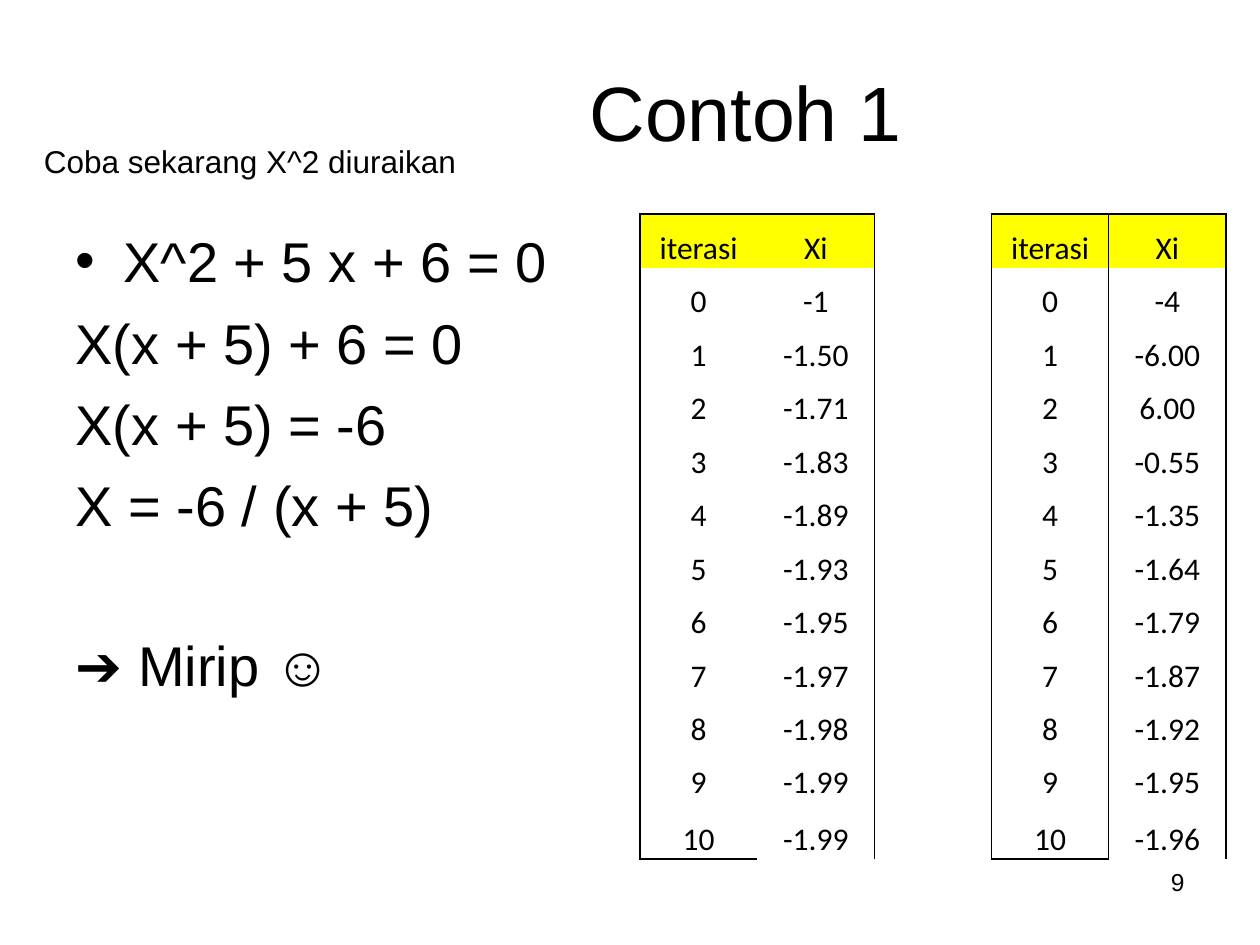
from lxml import etree
from pptx import Presentation
from pptx.dml.color import RGBColor
from pptx.enum.text import MSO_ANCHOR, MSO_AUTO_SIZE, PP_ALIGN
from pptx.oxml.ns import qn
from pptx.util import Inches, Pt

LEFT, CENTER, RIGHT = PP_ALIGN.LEFT, PP_ALIGN.CENTER, PP_ALIGN.RIGHT
TOP, MIDDLE, BOTTOM = MSO_ANCHOR.TOP, MSO_ANCHOR.MIDDLE, MSO_ANCHOR.BOTTOM
NO_AUTOFIT, GROW = MSO_AUTO_SIZE.NONE, MSO_AUTO_SIZE.SHAPE_TO_FIT_TEXT
BLACK, YELLOW = "000000", "FFFF00"
PLAIN_TABLE_STYLE = "{2D5ABB26-0587-4C30-8999-92F81FD0307C}"

EQUATIONS = ["X^2 + 5 x + 6 = 0", "X(x + 5) + 6 = 0", "X(x + 5) = -6",
             "X = -6 / (x + 5)"]
CONCLUSION = "➔ Mirip ☺"
FROM_MINUS_1 = ["-1", "-1.50", "-1.71", "-1.83", "-1.89", "-1.93", "-1.95",
                "-1.97", "-1.98", "-1.99", "-1.99"]
FROM_MINUS_4 = ["-4", "-6.00", "6.00", "-0.55", "-1.35", "-1.64", "-1.79",
                "-1.87", "-1.92", "-1.95", "-1.96"]


def rgb(color):
    return RGBColor.from_string(color)


def place(shape, box):
    shape.left, shape.top, shape.width, shape.height = map(Inches, box)


def write(paragraph, text, size, font="Arial", align=LEFT):
    paragraph.alignment = align
    run = paragraph.add_run()
    run.text = text
    run.font.size = Pt(size)
    run.font.name = font
    run.font.color.rgb = rgb(BLACK)


def set_bullet(paragraph, char=None, indent=0):
    props = paragraph._p.get_or_add_pPr()
    props.set("marL", str(Inches(indent)))
    props.set("indent", str(Inches(-indent)))
    if char:
        etree.SubElement(props, qn("a:buChar")).set("char", char)
    else:
        etree.SubElement(props, qn("a:buNone"))


def add_title(slide, box):
    title = slide.shapes.title
    place(title, box)
    frame = title.text_frame
    frame.auto_size = NO_AUTOFIT
    frame.vertical_anchor = MIDDLE
    write(frame.paragraphs[0], "Contoh 1", 44, align=CENTER)


def add_derivation(slide, box):
    body = slide.placeholders[1]
    place(body, box)
    frame = body.text_frame
    frame.auto_size = NO_AUTOFIT
    frame.vertical_anchor = TOP
    for i, line in enumerate(EQUATIONS + [CONCLUSION]):
        paragraph = frame.add_paragraph() if i else frame.paragraphs[0]
        # The conclusion stands one full line below the equations.
        paragraph.space_before = Pt(53 if line == CONCLUSION else 8)
        if i == 0:
            set_bullet(paragraph, "•", 0.38)
        else:
            set_bullet(paragraph)
        write(paragraph, line, 32)


def add_label(slide, box, text, size, align=LEFT, wrap=True):
    label = slide.shapes.add_textbox(*map(Inches, box))
    frame = label.text_frame
    frame.word_wrap = wrap
    frame.auto_size = NO_AUTOFIT if wrap else GROW
    write(frame.paragraphs[0], text, size, align=align)


def set_borders(cell, sides):
    props = cell._tc.get_or_add_tcPr()
    for side in "LRTB":
        if side in sides:
            line = etree.SubElement(props, qn(f"a:ln{side}"), w=str(Pt(1)))
            fill = etree.SubElement(line, qn("a:solidFill"))
            etree.SubElement(fill, qn("a:srgbClr"), val=BLACK)


def border_sides(row, col, last_row):
    if col == 2:
        return "LR"
    sides = "L" if col in (0, 3) else "R"
    if row == 0:
        sides += "T"
    if row == last_row and col in (0, 3):
        sides += "B"
    return sides


def add_iterations(slide, box):
    """Two iteration tables in one grid, with an empty column between."""
    rows = [["iterasi", "Xi", "", "iterasi", "Xi"]]
    for i, (first, second) in enumerate(zip(FROM_MINUS_1, FROM_MINUS_4)):
        rows.append([str(i), first, "", str(i), second])
    last_row, columns = len(rows) - 1, len(rows[0])
    frame = slide.shapes.add_table(len(rows), columns, *map(Inches, box))
    table = frame.table
    table.first_row = table.horz_banding = False
    table._tbl.tblPr.find(qn("a:tableStyleId")).text = PLAIN_TABLE_STYLE
    width, height = box[2:]
    last_height = 0.45
    for column in table.columns:
        column.width = Inches(width / columns)
    for r, values in enumerate(rows):
        table.rows[r].height = Inches(
            last_height if r == last_row else (height - last_height) / last_row)
        for c, value in enumerate(values):
            cell = table.cell(r, c)
            set_borders(cell, border_sides(r, c, last_row))
            if r == 0 and value:
                cell.fill.solid()
                cell.fill.fore_color.rgb = rgb(YELLOW)
            else:
                cell.fill.background()
            if value:
                cell.vertical_anchor = BOTTOM
                cell.margin_left = cell.margin_right = Inches(0.01)
                cell.margin_top, cell.margin_bottom = Inches(0.01), 0
                write(cell.text_frame.paragraphs[0], value, 18, "Calibri", CENTER)


def main():
    deck = Presentation()
    deck.slide_width, deck.slide_height = Inches(10), Inches(7.5)
    slide = deck.slides.add_slide(deck.slide_layouts[1])
    add_title(slide, (1.42, 0.25, 9, 1.25))
    add_derivation(slide, (0.5, 1.75, 4.42, 4.95))
    add_iterations(slide, (5.08, 1.7, 4.65, 5.12))
    add_label(slide, (7.17, 6.83, 2.33, 0.52), "9", 14, align=RIGHT)
    add_label(slide, (0.25, 1.08, 3.5, 0.4), "Coba sekarang X^2 diuraikan", 18,
              wrap=False)
    deck.save("out.pptx")


if __name__ == "__main__":
    main()
